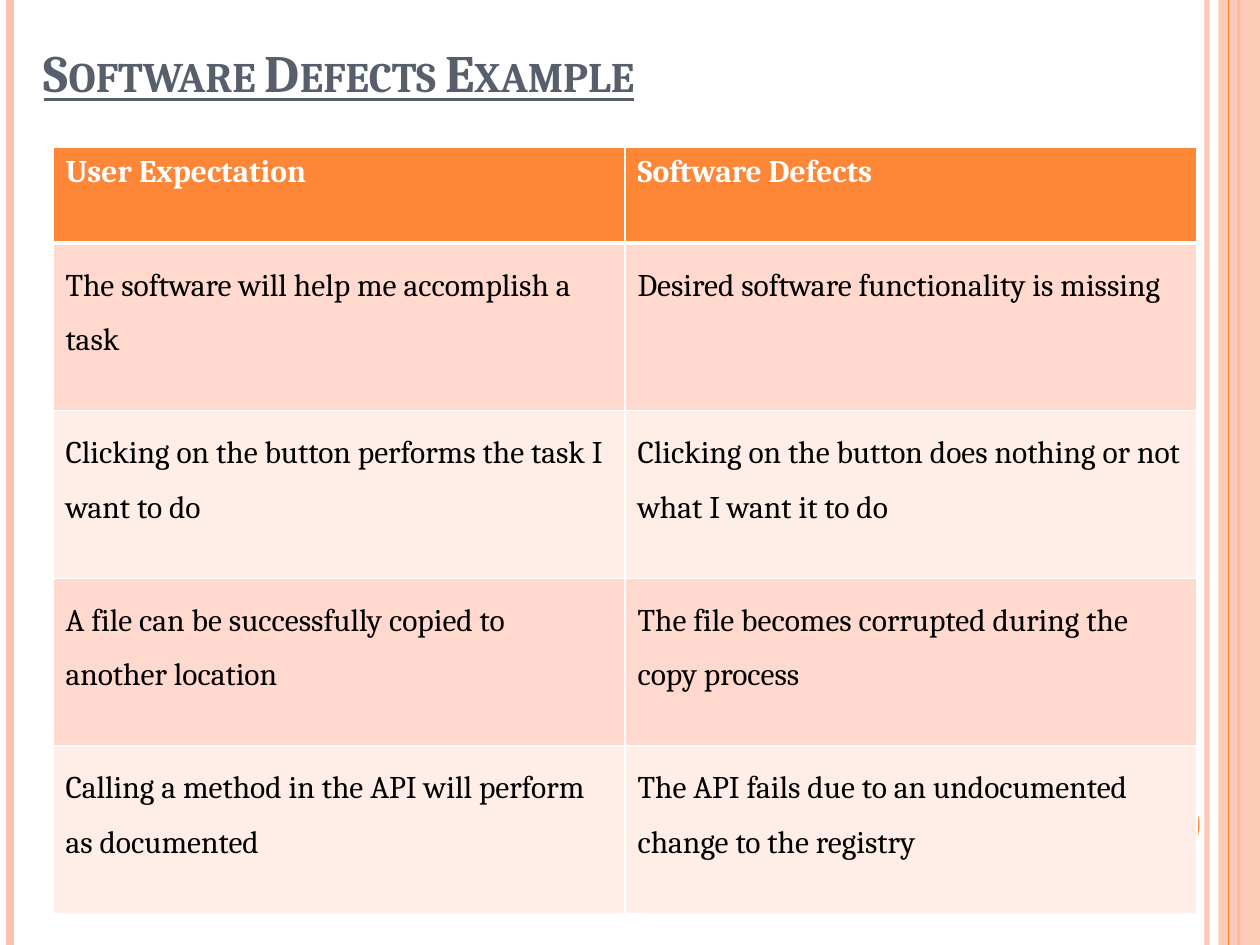
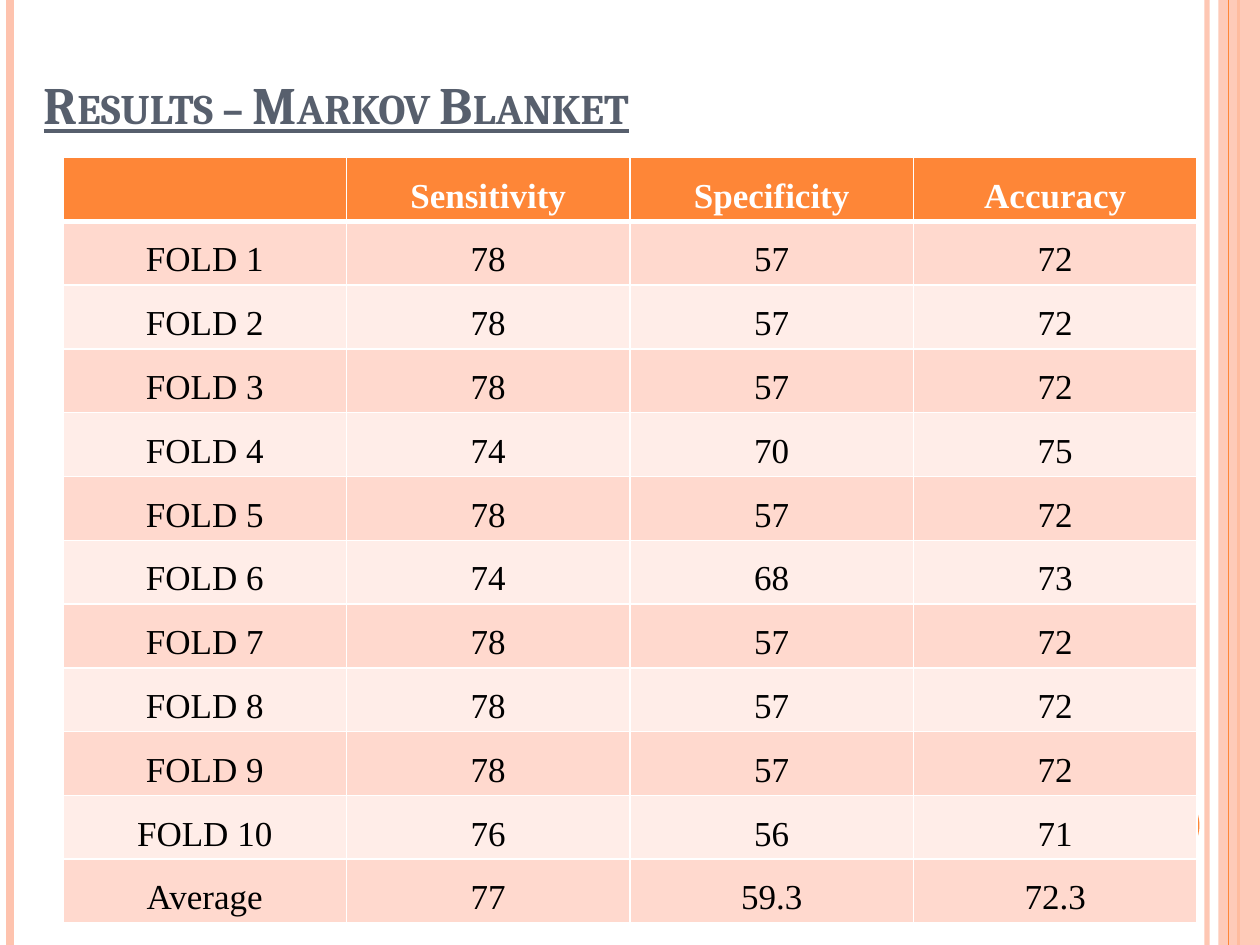
from dataclasses import dataclass

from pptx import Presentation
from pptx.dml.color import RGBColor as RGB
from pptx.enum.shapes import MSO_CONNECTOR as LINK, MSO_SHAPE as SHAPE
from pptx.enum.text import MSO_ANCHOR as ANCHOR, PP_ALIGN as ALIGN
from pptx.oxml.ns import qn
from pptx.util import Inches, Pt
from lxml.etree import SubElement as Sub


@dataclass(frozen=True)
class Theme:
    """Hold the colours, fonts and type sizes of the deck."""

    orange: str = "FE8637"
    peach: str = "FEC3AE"
    slate: str = "575F6D"
    white: str = "FFFFFF"
    black: str = "000000"
    bands: tuple = ("FFD9CE", "FFEDE8")
    serif: str = "Cambria"
    roman: str = "Times New Roman"
    title: int = 30
    text: int = 18
    score: int = 20


THEME = Theme()
WIDTH, HEIGHT = 10, 7.5

DEFECTS = [
    ("User Expectation", "Software Defects"),
    ("The software will help me accomplish a task",
     "Desired software functionality is missing"),
    ("Clicking on the button performs the task I want to do",
     "Clicking on the button does nothing or not what I want it to do"),
    ("A file can be successfully copied to another location",
     "The file becomes corrupted during the copy process"),
    ("Calling a method in the API will perform as documented",
     "The API fails due to an undocumented change to the registry"),
]

FOLDS = [
    (78, 57, 72), (78, 57, 72), (78, 57, 72), (74, 70, 75), (78, 57, 72),
    (74, 68, 73), (78, 57, 72), (78, 57, 72), (78, 57, 72), (76, 56, 71),
]
RESULTS = [
    ("", "Sensitivity", "Specificity", "Accuracy"),
    *((f"FOLD {num}", *fold) for num, fold in enumerate(FOLDS, 1)),
    ("Average", 77, 59.3, 72.3),
]


def paint(fill, color, alpha=100):
    """Fill with a solid colour at an opacity in percent."""
    fill.solid()
    fill.fore_color.rgb = RGB.from_string(color)
    if alpha < 100:
        tint = next(fill._xPr.iter(qn("a:srgbClr")))
        Sub(tint, qn("a:alpha"), val=str(alpha * 1000))


def style(run, font, size, color, bold):
    """Set the font of a run."""
    run.font.name = font
    run.font.size = Pt(size)
    run.font.color.rgb = RGB.from_string(color)
    run.font.bold = bold


def add_rule(slide, x, color, width, alpha=100):
    """Draw a vertical line over the full slide height."""
    rule = slide.shapes.add_connector(
        LINK.STRAIGHT, Inches(x), 0, Inches(x), Inches(HEIGHT))
    paint(rule.line.fill, color, alpha)
    rule.line.width = Pt(width)
    Sub(rule._element.spPr, qn("a:effectLst"))


def add_form(slide, kind, box, color, alpha=100):
    """Draw a plain filled shape."""
    form = slide.shapes.add_shape(kind, *map(Inches, box))
    form.shadow.inherit = False
    form.line.fill.background()
    paint(form.fill, color, alpha)


def add_frame(slide):
    """Draw the side bands and the dot that all slides share."""
    add_rule(slide, 9.58, THEME.peach, 3, 93)
    add_rule(slide, 0.08, THEME.peach, 4.5)
    add_rule(slide, 9.83, THEME.orange, 1.5)
    add_form(slide, SHAPE.RECTANGLE, (9.67, 0, WIDTH - 9.67, HEIGHT), THEME.peach, 87)
    add_rule(slide, 9.75, THEME.orange, 0.75)
    add_form(slide, SHAPE.OVAL, (8.92, 6.25, 0.6, 0.6), THEME.orange)


def add_title(slide, text, top, height):
    """Add an underlined title in small capitals."""
    box = slide.shapes.add_textbox(*map(Inches, (0.25, top, 8.17, height)))
    frame = box.text_frame
    frame.word_wrap = True
    frame.vertical_anchor = ANCHOR.BOTTOM
    frame.text = text
    run = frame.paragraphs[0].runs[0]
    style(run, THEME.serif, THEME.title, THEME.slate, True)
    run.font.underline = True
    run._r.get_or_add_rPr().set("cap", "small")


def add_edge(cell, side, width):
    """Draw one white border of a cell."""
    edge = Sub(cell._tc.get_or_add_tcPr(), qn(f"a:ln{side}"), w=str(Pt(width)))
    Sub(Sub(edge, qn("a:solidFill")), qn("a:srgbClr"), val=THEME.white)


def add_grid(slide, data, box, font, size, head=None, tight=False):
    """Add a banded table, with centred cells and no gaps if tight."""
    rows, cols = len(data), len(data[0])
    left, top, width, height = box
    grid = slide.shapes.add_table(rows, cols, *map(Inches, box)).table
    head = head or height / rows
    for col in grid.columns:
        col.width = Inches(width / cols)
    for num, row in enumerate(grid.rows):
        row.height = Inches((height - head) / (rows - 1) if num else head)
        for cell, value in zip(row.cells, data[num]):
            for side in "LRTB":
                heavy = (num, side) in ((0, "B"), (1, "T"))
                add_edge(cell, side, 3 if heavy else 1)
            paint(cell.fill, THEME.bands[(num - 1) % 2] if num else THEME.orange)
            cell.text = str(value)
            para = cell.text_frame.paragraphs[0]
            if num or tight:
                para.line_spacing = 1.5
            if tight:
                para.alignment = ALIGN.CENTER
                cell.margin_left = cell.margin_right = Inches(0.07)
                cell.margin_top = cell.margin_bottom = 0
            for run in para.runs:
                style(run, font, size, THEME.black if num else THEME.white, not num)


def add_page(deck, title, top, height):
    """Add a blank slide with the shared frame and a title."""
    slide = deck.slides.add_slide(deck.slide_layouts[6])
    paint(slide.background.fill, THEME.white)
    add_frame(slide)
    add_title(slide, title, top, height)
    return slide


def main():
    """Build and save the deck."""
    deck = Presentation()
    deck.slide_width, deck.slide_height = Inches(WIDTH), Inches(HEIGHT)
    page = add_page(deck, "Software Defects Example", 0.17, 0.7)
    add_grid(page, DEFECTS, (0.42, 1.17, 9.08, 6.08),
             THEME.serif, THEME.text, head=0.76)
    page = add_page(deck, "Results – Markov Blanket", 0.25, 0.87)
    add_grid(page, RESULTS, (0.5, 1.25, 9, 6.08),
             THEME.roman, THEME.score, tight=True)
    deck.save("out.pptx")


if __name__ == "__main__":
    main()
